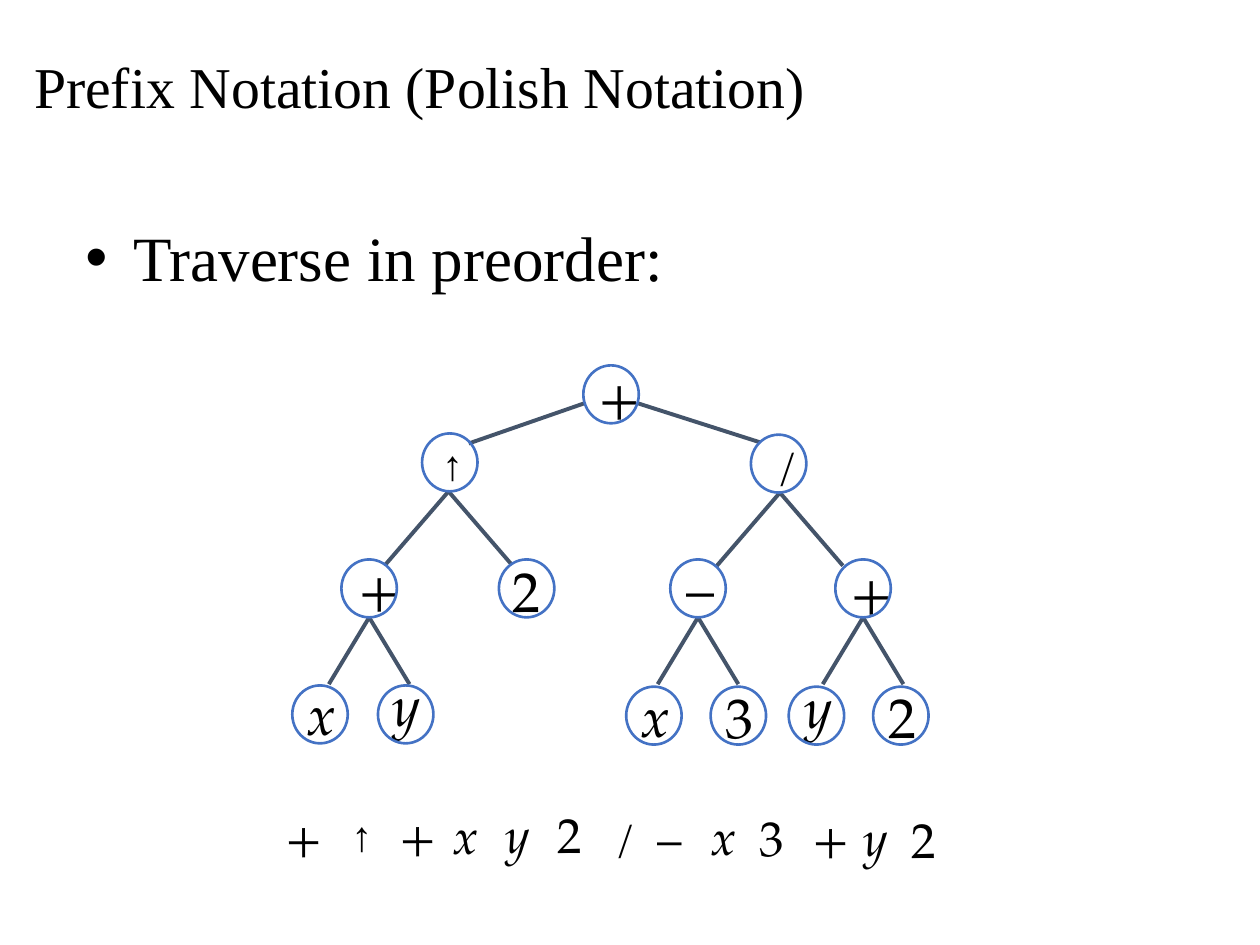
import pptx
import pptx.util
import pptx.dml.color
import pptx.enum.shapes
import pptx.enum.text
import pptx.oxml.ns
from lxml import etree

Inches, Pt = pptx.util.Inches, pptx.util.Pt
ANCHOR, ALIGN = pptx.enum.text.MSO_ANCHOR, pptx.enum.text.PP_ALIGN

COLORS = {"text": "000000", "circle": "4472C4", "edge": "44546A"}
SERIF, MATH = "Times New Roman", "TeX Gyre Pagella"
TITLE = "Prefix Notation (Polish Notation)"
STEP = "Traverse in preorder:"

# Advance of each symbol, in ems
SYMBOL_EMS = {"+": 0.55, "–": 0.5, "↑": 0.4, "/": 0.27, "x": 0.53, "y": 0.515, "2": 0.54, "3": 0.54}
SMALL_SYMBOLS = "↑/"
VARIABLES = "xy"

# Symbol, circle left and top, symbol left and top
TREE_NODES = [
    ("+", 4.63, 2.9, 4.65, 2.82),
    ("↑", 3.35, 3.44, 3.41, 3.43),
    ("/", 5.96, 3.45, 6.07, 3.43),
    ("+", 2.71, 4.44, 2.75, 4.34),
    ("2", 3.96, 4.44, 3.97, 4.37),
    ("–", 5.32, 4.44, 5.35, 4.34),
    ("+", 6.63, 4.44, 6.65, 4.37),
    ("x", 2.32, 5.44, 2.34, 5.34),
    ("y", 3, 5.44, 3.02, 5.27),
    ("x", 4.97, 5.45, 4.99, 5.36),
    ("3", 5.64, 5.45, 5.66, 5.37),
    ("y", 6.26, 5.45, 6.29, 5.29),
    ("2", 6.93, 5.45, 6.95, 5.37),
]
ROOT_EDGES = [(6.03, 3.51, 5.06, 3.2), (3.72, 3.52, 4.64, 3.2)]
# Parent x and y, half spread, drop to the children
FORKS = [
    (3.56, 3.9, 0.5, 0.58),
    (6.19, 3.91, 0.5, 0.58),
    (2.93, 4.9, 0.32, 0.53),
    (5.54, 4.9, 0.32, 0.53),
    (6.85, 4.9, 0.32, 0.53),
]
# Symbol, left, top, italic
PREFIX_ROW = [
    ("+", 2.17, 6.35, True), ("↑", 2.69, 6.37, False), ("+", 3.07, 6.34, True),
    ("x", 3.49, 6.34, True), ("y", 3.91, 6.33, True), ("2", 4.32, 6.33, False),
    ("/", 4.79, 6.38, False), ("–", 5.12, 6.36, False), ("x", 5.54, 6.35, True),
    ("3", 5.92, 6.36, False), ("+", 6.35, 6.36, False), ("y", 6.75, 6.36, True),
    ("2", 7.13, 6.37, False),
]


def color(name):
    return pptx.dml.color.RGBColor.from_string(COLORS[name])


def style_text(para, font_name, size, italic=False):
    para.font.name = font_name
    para.font.size = Pt(size)
    para.font.italic = italic
    para.font.color.rgb = color("text")


def place(shape, left, top, width, height):
    shape.left, shape.top = Inches(left), Inches(top)
    shape.width, shape.height = Inches(width), Inches(height)


def add_symbol(slide, symbol, left, top, size, italic, align, anchor):
    """Add one symbol in a box just large enough for it."""
    if symbol in SMALL_SYMBOLS:
        size = 24
    width = 0.2 + SYMBOL_EMS[symbol] * size / 72
    height = 0.1 + 1.21 * size / 72
    box = slide.shapes.add_textbox(Inches(left), Inches(top), Inches(width), Inches(height))
    frame = box.text_frame
    frame.word_wrap = False
    frame.auto_size = pptx.enum.text.MSO_AUTO_SIZE.SHAPE_TO_FIT_TEXT
    frame.vertical_anchor = anchor
    para = frame.paragraphs[0]
    para.text = symbol
    para.alignment = align
    style_text(para, "Arial" if symbol == "↑" else MATH, size, italic)


def add_circle(slide, left, top):
    circle = slide.shapes.add_shape(
        pptx.enum.shapes.MSO_SHAPE.OVAL, Inches(left), Inches(top), Inches(0.44), Inches(0.46))
    circle.shadow.inherit = False
    circle.fill.background()
    circle.line.color.rgb = color("circle")
    circle.line.width = Pt(1.5)


def add_edge(slide, *ends):
    edge = slide.shapes.add_connector(
        pptx.enum.shapes.MSO_CONNECTOR.STRAIGHT, *[Inches(end) for end in ends])
    edge.line.color.rgb = color("edge")
    edge.line.width = Pt(2.25)
    etree.SubElement(edge._element.spPr, pptx.oxml.ns.qn("a:effectLst"))


def add_title(slide):
    title = slide.shapes.title
    place(title, 0.17, 0.17, 9.58, 1.08)
    title.text_frame.vertical_anchor = ANCHOR.MIDDLE
    para = title.text_frame.paragraphs[0]
    para.text = TITLE
    para.alignment = ALIGN.LEFT
    para.line_spacing = 0.9
    style_text(para, SERIF, 33)


def add_step(slide):
    box = slide.shapes.add_textbox(Inches(0.58), Inches(1.75), Inches(5.18), Inches(0.56))
    box.text_frame.word_wrap = True
    para = box.text_frame.paragraphs[0]
    para.text = STEP
    para.line_spacing = 0.9
    properties = para._p.get_or_add_pPr()
    properties.set("marL", str(Inches(0.38)))
    properties.set("indent", str(Inches(-0.38)))
    etree.SubElement(properties, pptx.oxml.ns.qn("a:buFont"), typeface="Arial")
    etree.SubElement(properties, pptx.oxml.ns.qn("a:buChar"), char="•")
    style_text(para, SERIF, 36)


def main():
    deck = pptx.Presentation()
    deck.slide_width, deck.slide_height = Inches(10), Inches(7.5)
    slide = deck.slides.add_slide(deck.slide_layouts[5])
    add_title(slide)
    add_step(slide)
    for symbol, left, top, italic in PREFIX_ROW:
        add_symbol(slide, symbol, left, top, 28, italic, ALIGN.CENTER, ANCHOR.MIDDLE)
    for ends in ROOT_EDGES:
        add_edge(slide, *ends)
    for x, y, spread, drop in FORKS:
        for side in (-1, 1):
            add_edge(slide, x + side * spread, y + drop, x, y)
    for symbol, circle_left, circle_top, left, top in TREE_NODES:
        add_symbol(slide, symbol, left, top, 32, symbol in VARIABLES, ALIGN.LEFT, ANCHOR.TOP)
        add_circle(slide, circle_left, circle_top)
    deck.save("out.pptx")


if __name__ == "__main__":
    main()
